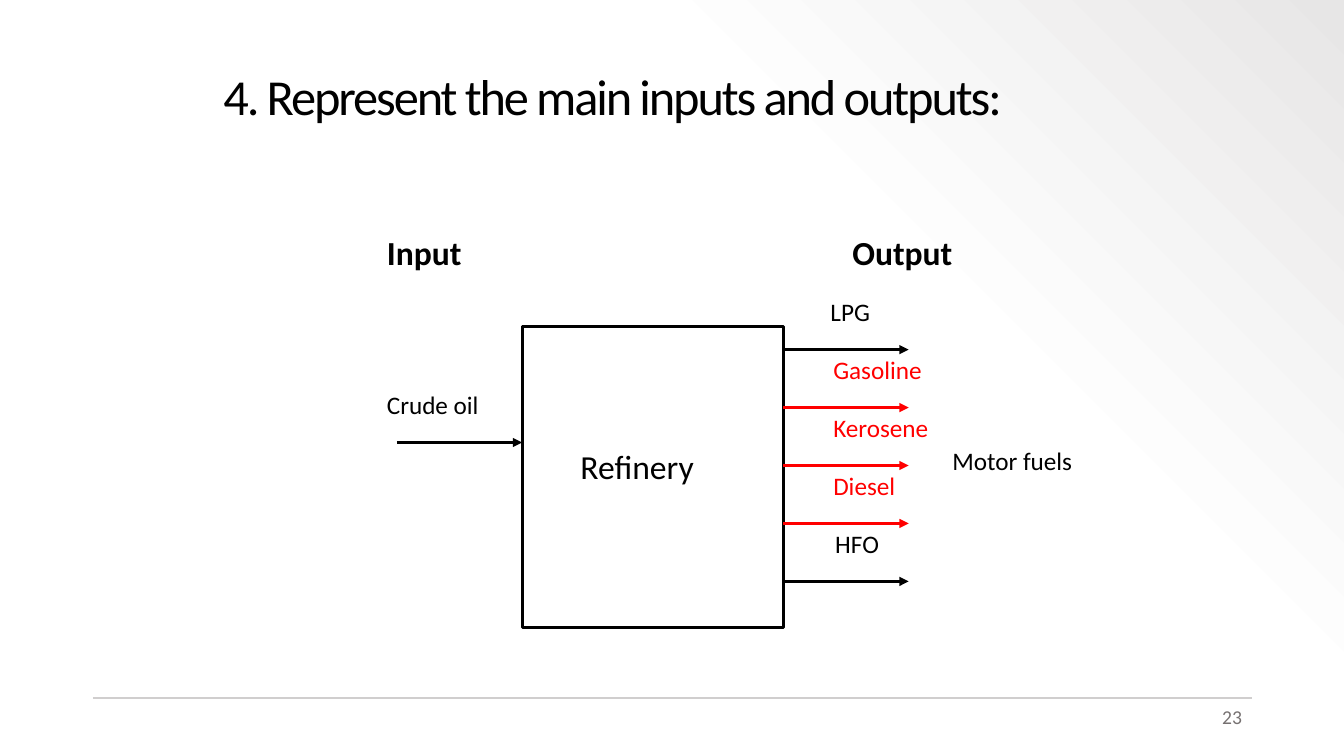
from dataclasses import dataclass

from lxml import etree
from pptx import Presentation
from pptx.dml.color import RGBColor
from pptx.enum.shapes import MSO_CONNECTOR, MSO_SHAPE
from pptx.enum.text import MSO_ANCHOR, PP_ALIGN
from pptx.oxml.ns import qn
from pptx.util import Cm, Pt


@dataclass(frozen=True)
class Theme:
    font: str = "Calibri"
    black: str = "000000"
    red: str = "FF0000"
    grey: str = "767171"
    rule: str = "D0CECE"
    backdrop: tuple = ((0, "FFFFFF"), (69, "FDFDFD"), (100, "E7E6E6"))
    title: float = 36
    heading: float = 24
    label: float = 18
    number: float = 14
    stroke: float = 2.25
    thin: float = 1.5


@dataclass(frozen=True)
class Label:
    text: str
    left: float
    top: float
    width: float
    height: float
    size: float
    color: str = "000000"
    bold: bool = False
    wrap: bool = False
    align: PP_ALIGN = PP_ALIGN.LEFT


@dataclass(frozen=True)
class Product:
    name: str
    left: float
    width: float
    color: str


T = Theme()

# Lengths in centimetres
BOX_LEFT, BOX_TOP, BOX_WIDTH, BOX_HEIGHT = 13.16, 8.23, 6.58, 7.59
BOX_RIGHT = BOX_LEFT + BOX_WIDTH
ARROW_LENGTH = 3.16
FIRST_ARROW, ARROW_STEP = 8.81, 1.46
LABEL_HEIGHT, HEADING_HEIGHT = 1.02, 1.27
CRUDE_Y = 11.15

PRODUCTS = [
    Product("LPG", 20.68, 1.52, T.black),
    Product("Gasoline", 20.75, 2.77, T.red),
    Product("Kerosene", 20.75, 2.95, T.red),
    Product("Diesel", 20.75, 2.08, T.red),
    Product("HFO", 20.8, 1.63, T.black),
]

LABELS = [
    Label("Refinery", 14.38, 11.1, 3.48, HEADING_HEIGHT, T.heading),
    Label("Input", 9.5, 5.72, 2.41, HEADING_HEIGHT, T.heading, bold=True),
    Label("Output", 21.23, 5.72, 3.15, HEADING_HEIGHT, T.heading, bold=True),
    Label("Crude oil", 9.5, 9.68, 2.9, LABEL_HEIGHT, T.label),
    Label("Motor fuels", 23.75, 11.1, 3.56, LABEL_HEIGHT, T.label),
    Label("23", 23.93, 17.65, 7.62, LABEL_HEIGHT, T.number, T.grey,
          wrap=True, align=PP_ALIGN.RIGHT),
]


def add_label(s, label: Label):
    sp = s.shapes.add_textbox(Cm(label.left), Cm(label.top),
                              Cm(label.width), Cm(label.height))
    tf = sp.text_frame
    tf.word_wrap = label.wrap
    tf.text = label.text
    p = tf.paragraphs[0]
    p.alignment = label.align
    font = p.runs[0].font
    font.name, font.size, font.bold = T.font, Pt(label.size), label.bold
    font.color.rgb = RGBColor.from_string(label.color)
    return sp


def add_line(s, left: float, right: float, y: float, color: str,
             weight: float = T.stroke, arrow: bool = True) -> None:
    cxn = s.shapes.add_connector(MSO_CONNECTOR.STRAIGHT,
                                 Cm(left), Cm(y), Cm(right), Cm(y))
    cxn.line.width = Pt(weight)
    cxn.line.color.rgb = RGBColor.from_string(color)
    if arrow:
        etree.SubElement(cxn.line._get_or_add_ln(), qn("a:tailEnd"), type="triangle")
    etree.SubElement(cxn._element.spPr, qn("a:effectLst"))


def set_backdrop(s) -> None:
    fill = s.background.fill
    fill.gradient()
    fill.gradient_angle = 45
    stops = s._element.find(".//" + qn("a:gsLst"))
    for stop in list(stops):
        stops.remove(stop)
    for position, color in T.backdrop:
        stop = etree.SubElement(stops, qn("a:gs"), pos=str(position * 1000))
        etree.SubElement(stop, qn("a:srgbClr"), val=color)


def add_title(s) -> None:
    sp = add_label(s, Label("4. Represent the main inputs and outputs:",
                            5.38, 0.94, 26.16, 3.1, T.title, wrap=True))
    tf = sp.text_frame
    tf.vertical_anchor = MSO_ANCHOR.MIDDLE
    p = tf.paragraphs[0]
    p.line_spacing = 0.9
    p.runs[0].font._element.set("spc", "-150")


def add_refinery(s) -> None:
    sp = s.shapes.add_shape(MSO_SHAPE.RECTANGLE, Cm(BOX_LEFT), Cm(BOX_TOP),
                            Cm(BOX_WIDTH), Cm(BOX_HEIGHT))
    sp.shadow.inherit = False
    sp.fill.background()
    sp.line.width = Pt(T.stroke)
    sp.line.color.rgb = RGBColor.from_string(T.black)


def main() -> None:
    prs = Presentation()
    prs.slide_width, prs.slide_height = Cm(33.87), Cm(19.05)
    s = prs.slides.add_slide(prs.slide_layouts[6])

    # Backdrop, footer rule and title
    set_backdrop(s)
    add_line(s, 2.34, 31.55, 17.58, T.rule, T.thin, arrow=False)
    add_title(s)

    # Refinery with its input
    add_refinery(s)
    add_line(s, BOX_LEFT - ARROW_LENGTH, BOX_LEFT, CRUDE_Y, T.black)

    # Outputs: each name sits one step above its arrow
    for i, product in enumerate(PRODUCTS):
        y = FIRST_ARROW + i * ARROW_STEP
        add_line(s, BOX_RIGHT, BOX_RIGHT + ARROW_LENGTH, y, product.color)
        add_label(s, Label(product.name, product.left, y - ARROW_STEP,
                           product.width, LABEL_HEIGHT, T.label, product.color))

    # Headings, remaining labels and slide number
    for label in LABELS:
        add_label(s, label)

    prs.save("out.pptx")


if __name__ == "__main__":
    main()
